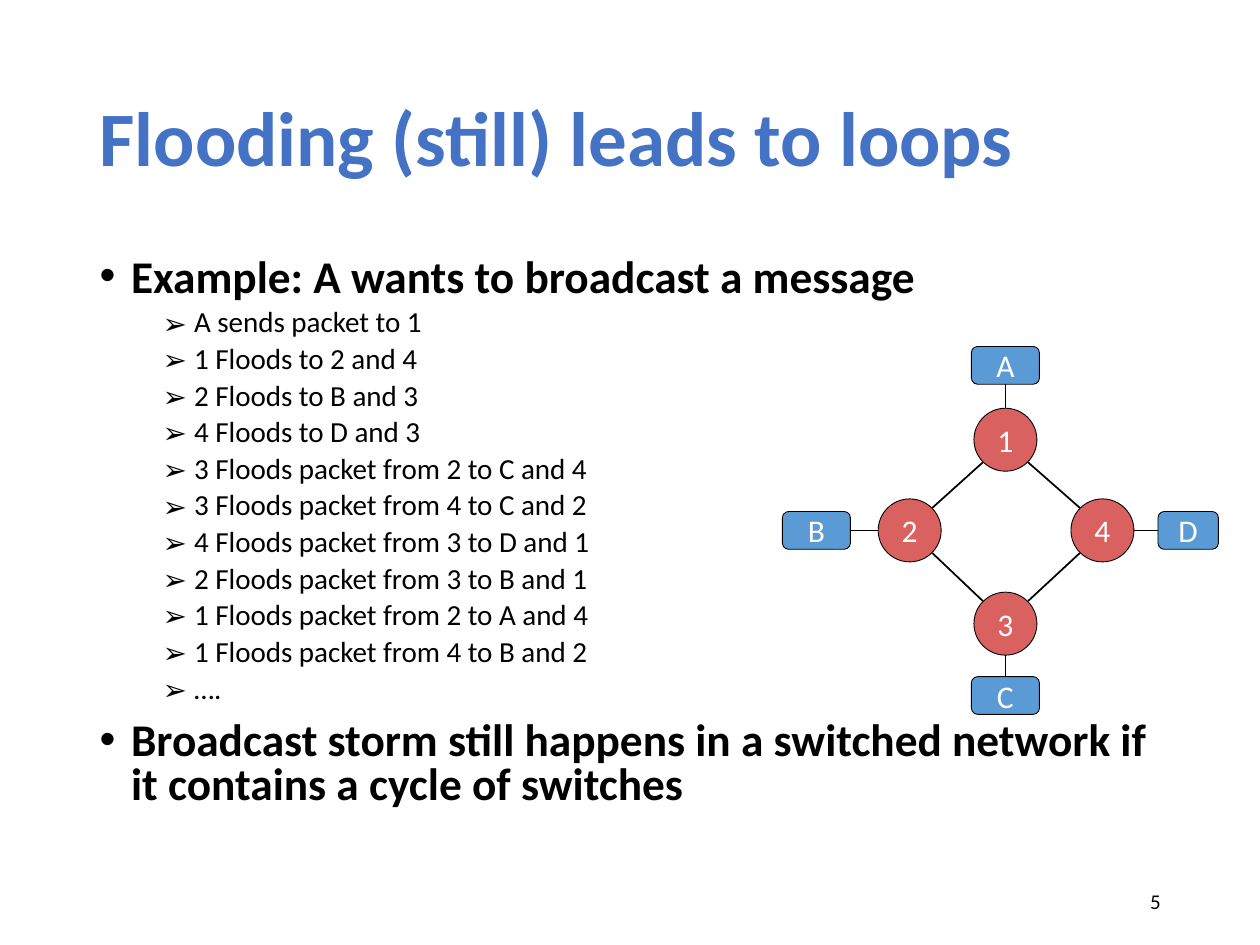
import math
from dataclasses import dataclass

from lxml import etree
from pptx import Presentation
from pptx.dml.color import RGBColor
from pptx.enum.shapes import MSO_CONNECTOR, MSO_SHAPE
from pptx.enum.text import MSO_ANCHOR, MSO_AUTO_SIZE, PP_ALIGN
from pptx.oxml.ns import qn
from pptx.util import Pt

STRAIGHT = MSO_CONNECTOR.STRAIGHT
OVAL, ROUNDED = MSO_SHAPE.OVAL, MSO_SHAPE.ROUNDED_RECTANGLE
MIDDLE, TOP = MSO_ANCHOR.MIDDLE, MSO_ANCHOR.TOP
LEFT, CENTER, RIGHT = PP_ALIGN.LEFT, PP_ALIGN.CENTER, PP_ALIGN.RIGHT
NO_AUTOSIZE = MSO_AUTO_SIZE.NONE
EMU_PER_PX = 9144


@dataclass(frozen=True)
class Theme:
    font: str = "Calibri"
    title_color: str = "4472C4"
    ink: str = "000000"
    label_color: str = "FFFFFF"
    switch_fill: str = "D9615F"
    host_fill: str = "5B9BD5"
    title_size: float = 44
    point_size: float = 25.9
    step_size: float = 16.6
    label_size: float = 18
    number_size: float = 12
    outline: float = 0.5
    link: float = 1


THEME = Theme()

STEPS = [
    "A sends packet to 1",
    "1 Floods to 2 and 4",
    "2 Floods to B and 3",
    "4 Floods to D and 3",
    "3 Floods packet from 2 to C and 4",
    "3 Floods packet from 4 to C and 2",
    "4 Floods packet from 3 to D and 1",
    "2 Floods packet from 3 to B and 1",
    "1 Floods packet from 2 to A and 4",
    "1 Floods packet from 4 to B and 2",
    "….",
]
POINTS = [
    ("Example: A wants to broadcast a message", STEPS),
    ("Broadcast storm still happens in a switched network if it contains a cycle of switches", []),
]
LEVELS = [
    {"size": THEME.point_size, "bold": True, "before": 10, "margin": 25,
     "bullet": "•", "bullet_font": "Arial"},
    {"size": THEME.step_size, "bold": False, "before": 5, "margin": 75,
     "bullet": "➢", "bullet_font": "Noto Sans Symbols"},
]
HANGING = 25

RADIUS = 25
SWITCHES = {"1": (177, 74), "2": (101, 146), "3": (177, 220), "4": (254, 146)}
RING = [("1", "2"), ("2", "3"), ("3", "4"), ("4", "1")]
HOST_HEIGHT = 30
HOSTS = [
    ("A", "1", (150, 0), 54, 2, (0, -1)),
    ("B", "2", (0, 131), 54, 3, (-1, 0)),
    ("C", "3", (150, 262), 54, 0, (0, 1)),
    ("D", "4", (298, 131), 48, 1, (1, 0)),
]


def px(*lengths):
    return [round(length * EMU_PER_PX) for length in lengths]


def apply_format(target, values):
    for name, value in values.items():
        setattr(target, name, value)


def place(shape, box):
    apply_format(shape, dict(zip(("left", "top", "width", "height"), px(*box))))


def write(paragraph, text, size, color, bold=False, **paragraph_format):
    apply_format(paragraph, paragraph_format)
    run = paragraph.add_run()
    run.text = text
    apply_format(run.font, {"name": THEME.font, "size": Pt(size), "bold": bold})
    run.font.color.rgb = RGBColor.from_string(color)


def add_title(slide, box):
    title = slide.shapes.title
    place(title, box)
    apply_format(title.text_frame, {"vertical_anchor": MIDDLE, "auto_size": NO_AUTOSIZE})
    write(title.text_frame.paragraphs[0], "Flooding (still) leads to loops",
          THEME.title_size, THEME.title_color, True, alignment=LEFT, line_spacing=0.9)


def set_bullet(paragraph, level):
    properties = paragraph._p.get_or_add_pPr()
    margin, indent = px(level["margin"], -HANGING)
    properties.set("marL", str(margin))
    properties.set("indent", str(indent))
    etree.SubElement(properties, qn("a:buFont"), typeface=level["bullet_font"])
    etree.SubElement(properties, qn("a:buChar"), char=level["bullet"])


def add_body(slide, box):
    body = slide.placeholders[1]
    place(body, box)
    frame = body.text_frame
    apply_format(frame, {"vertical_anchor": TOP, "auto_size": NO_AUTOSIZE})
    lines = [(text, depth) for point, steps in POINTS
             for text, depth in [(point, 0)] + [(step, 1) for step in steps]]
    for index, (text, depth) in enumerate(lines):
        paragraph = frame.add_paragraph() if index else frame.paragraphs[0]
        level = LEVELS[depth]
        write(paragraph, text, level["size"], THEME.ink, level["bold"], level=depth,
              alignment=LEFT, line_spacing=0.8, space_before=Pt(level["before"]))
        set_bullet(paragraph, level)


def add_node(shapes, kind, box, text, fill):
    node = shapes.add_shape(kind, *px(*box))
    node.shadow.inherit = False
    node.fill.solid()
    node.fill.fore_color.rgb = RGBColor.from_string(fill)
    node.line.color.rgb = RGBColor.from_string(THEME.ink)
    node.line.width = Pt(THEME.outline)
    apply_format(node.text_frame, {
        "vertical_anchor": MIDDLE, "margin_left": 0, "margin_right": 0,
        "margin_top": 0, "margin_bottom": 0,
    })
    write(node.text_frame.paragraphs[0], text, THEME.label_size, THEME.label_color,
          alignment=CENTER)
    return node


def add_link(shapes, start, end):
    link = shapes.add_connector(STRAIGHT, *px(*start, *end))
    link.line.color.rgb = RGBColor.from_string(THEME.ink)
    link.line.width = Pt(THEME.link)
    etree.SubElement(link._element.spPr, qn("a:effectLst"))
    return link


def add_network(slide, box):
    left, top = box
    shapes = slide.shapes.add_group_shape().shapes
    centers = {name: (left + x, top + y) for name, (x, y) in SWITCHES.items()}
    for name, (x, y) in centers.items():
        add_node(shapes, OVAL, (x - RADIUS, y - RADIUS, 2 * RADIUS, 2 * RADIUS),
                 name, THEME.switch_fill)
    reach = round(RADIUS * math.sqrt(0.5))
    for first, second in RING:
        (x1, y1), (x2, y2) = centers[first], centers[second]
        dx, dy = math.copysign(reach, x2 - x1), math.copysign(reach, y2 - y1)
        add_link(shapes, (x1 + dx, y1 + dy), (x2 - dx, y2 - dy))
    for name, switch, (x, y), width, side, (dx, dy) in HOSTS:
        host = add_node(shapes, ROUNDED, (left + x, top + y, width, HOST_HEIGHT),
                        name, THEME.host_fill)
        center_x, center_y = centers[switch]
        edge = (center_x + dx * RADIUS, center_y + dy * RADIUS)
        add_link(shapes, edge, edge).begin_connect(host, side)


def add_page_number(slide, box):
    number = slide.shapes.add_textbox(*px(*box))
    apply_format(number.text_frame, {"word_wrap": True, "vertical_anchor": MIDDLE})
    write(number.text_frame.paragraphs[0], "5", THEME.number_size, THEME.ink,
          alignment=RIGHT)


def main():
    presentation = Presentation()
    presentation.slide_width, presentation.slide_height = px(1000, 750)
    slide = presentation.slides.add_slide(presentation.slide_layouts[1])
    add_title(slide, (69, 40, 862, 145))
    add_body(slide, (69, 200, 862, 476))
    add_network(slide, (621, 275))
    add_page_number(slide, (706, 695, 225, 40))
    presentation.save("out.pptx")


if __name__ == "__main__":
    main()
